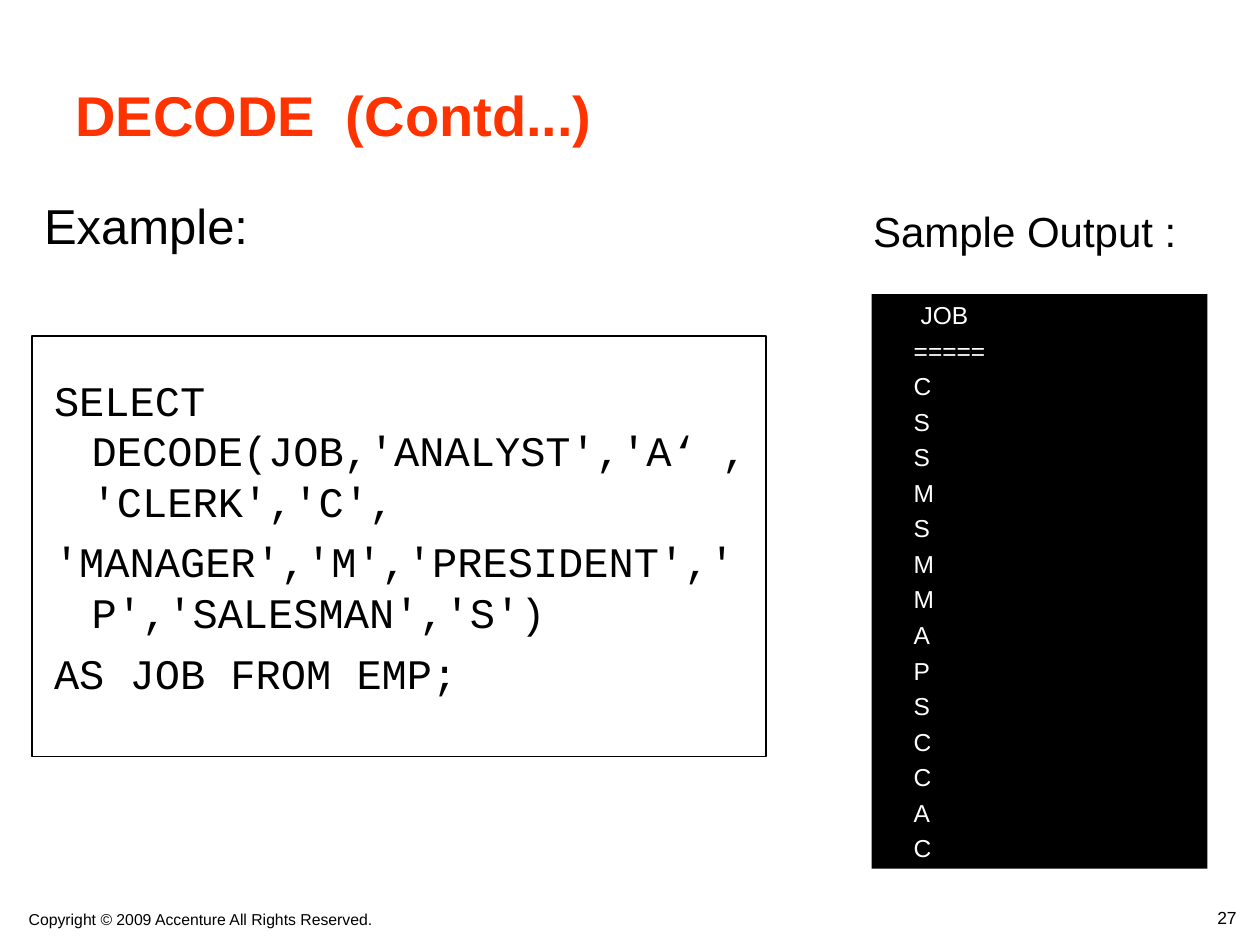
from pptx import Presentation
from pptx.dml.color import RGBColor
from pptx.enum.shapes import MSO_SHAPE as Shape
from pptx.enum.text import MSO_ANCHOR as Anchor, PP_ALIGN as Align
from pptx.util import Cm, Pt

BLACK = RGBColor(0x00, 0x00, 0x00)
WHITE = RGBColor(0xFF, 0xFF, 0xFF)
ORANGE = RGBColor(0xFF, 0x33, 0x00)

TITLE = "DECODE  (Contd...)"
QUERY = [
    "SELECT DECODE(JOB,'ANALYST','A‘ ,'CLERK','C',",
    "'MANAGER','M','PRESIDENT','P','SALESMAN','S')",
    "AS JOB FROM EMP;",
]
OUTPUT_HEADER = ["JOB", "====="]
OUTPUT_CODES = list("CSSMSMMAPSCCAC")
COPYRIGHT = "Copyright © 2009 Accenture All Rights Reserved."

QUERY_FRAME = (0.64, 6.78, 14.81, 8.47)
OUTPUT_PANEL = (17.57, 5.93, 6.77, 11.58)


def add_rectangle(slide, box, fill=None, line=None):
    shape = slide.shapes.add_shape(Shape.RECTANGLE, *map(Cm, box))
    shape.shadow.inherit = False
    if fill is None:
        shape.fill.background()
    else:
        shape.fill.solid()
        shape.fill.fore_color.rgb = fill
    if line is None:
        shape.line.fill.background()
    else:
        shape.line.color.rgb = line
        shape.line.width = Pt(1)
    return shape


def write(shape, lines, size, font="Arial", color=BLACK, bold=False, align=Align.LEFT,
          anchor=Anchor.TOP, wrap=True, before=0, margin=0, indent=0):
    frame = shape.text_frame
    frame.word_wrap = wrap
    frame.vertical_anchor = anchor
    for index, line in enumerate(lines):
        paragraph = frame.add_paragraph() if index else frame.paragraphs[0]
        paragraph.text = line
        paragraph.alignment = align
        paragraph.space_before = Pt(before if index else 0)
        properties = paragraph._p.get_or_add_pPr()
        properties.set("marL", str(Cm(margin)))
        properties.set("indent", str(Cm(indent)))
        paragraph.font.name = font
        paragraph.font.size = Pt(size)
        paragraph.font.bold = bold
        paragraph.font.color.rgb = color
    return frame


def add_text(slide, box, lines, **style):
    return write(slide.shapes.add_textbox(*map(Cm, box)), lines, **style)


def main():
    presentation = Presentation()
    presentation.slide_width = Cm(25.4)
    presentation.slide_height = Cm(19.05)
    slide = presentation.slides.add_slide(presentation.slide_layouts[6])

    add_text(slide, (0.33, 18.21, 9.45, 0.64), [COPYRIGHT], size=9, wrap=False)
    add_text(slide, (1.27, 0.56, 22.66, 2.54), [TITLE], size=32, color=ORANGE,
             bold=True, anchor=Anchor.BOTTOM)
    add_text(slide, (0.84, 7.42, 14.6, 8.89), QUERY, size=24, font="Courier New",
             before=6, margin=0.76, indent=-0.76)

    panel = add_rectangle(slide, OUTPUT_PANEL, fill=BLACK)
    frame = write(panel, OUTPUT_HEADER + OUTPUT_CODES, size=14, color=WHITE,
                  before=3.5, margin=0.6)
    frame.paragraphs[0]._p.get_or_add_pPr().set("indent", str(Cm(0.14)))

    add_text(slide, (17.35, 4.01, 7.19, 1.27), ["Sample Output :"], size=24)
    add_text(slide, (0.64, 3.81, 7.62, 1.42), ["Example:"], size=28)
    add_rectangle(slide, QUERY_FRAME, line=BLACK)
    add_text(slide, (19.25, 18.15, 5.93, 0.7), ["27"], size=10, align=Align.RIGHT)

    presentation.save("out.pptx")


if __name__ == "__main__":
    main()
